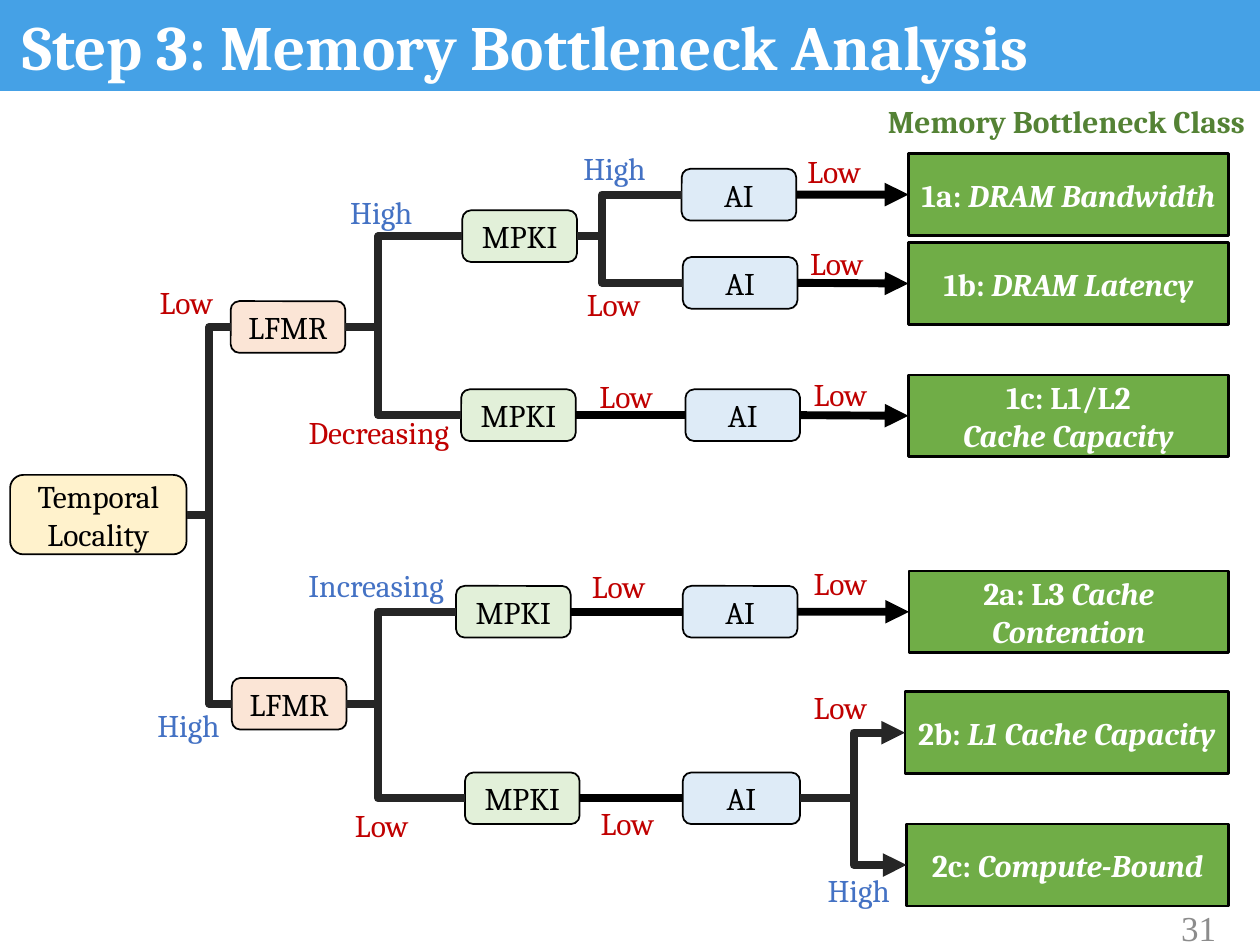
from lxml import etree
from pptx import Presentation
from pptx.dml.color import RGBColor
from pptx.enum.shapes import MSO_CONNECTOR, MSO_SHAPE
from pptx.enum.text import MSO_ANCHOR, MSO_AUTO_SIZE, PP_ALIGN
from pptx.oxml.ns import qn
from pptx.util import Pt

STRAIGHT, ELBOW = MSO_CONNECTOR.STRAIGHT, MSO_CONNECTOR.ELBOW
RECT, ROUNDED = MSO_SHAPE.RECTANGLE, MSO_SHAPE.ROUNDED_RECTANGLE
TOP, MIDDLE = MSO_ANCHOR.TOP, MSO_ANCHOR.MIDDLE
LEFT, CENTER, RIGHT = PP_ALIGN.LEFT, PP_ALIGN.CENTER, PP_ALIGN.RIGHT
NO_FIT, GROW = MSO_AUTO_SIZE.NONE, MSO_AUTO_SIZE.SHAPE_TO_FIT_TEXT
LEFT_SIDE, RIGHT_SIDE = 1, 3

BLACK, WHITE, CHARCOAL = "000000", "FFFFFF", "262626"
RED, BLUE = "C00000", "4472C4"
NODE_W, NODE_H, CLASS_H = 65.5, 29.5, 46.8


def color(hex_value):
    return RGBColor.from_string(hex_value)


class TreeSlide:
    font_name = "Cambria"
    text_size = 18
    link_width = 4.5

    def __init__(self, slide):
        self.slide = slide
        self.shapes = slide.shapes

    def style(self, paragraph, ink, size=text_size, bold=False, align=CENTER,
              name=font_name):
        paragraph.alignment = align
        font = paragraph.font
        font.name, font.size, font.bold = name, Pt(size), bold
        font.color.rgb = color(ink)

    def band(self, x, y, w, h, fill):
        band = self.box(RECT, x, y, w, h, fill)
        tree = band._element.getparent()
        tree.insert(2, band._element)  # behind the title

    def title(self, text, x, y, w, h):
        title = self.shapes.title
        title.left, title.top, title.width, title.height = map(Pt, (x, y, w, h))
        frame = title.text_frame
        frame.auto_size, frame.vertical_anchor = NO_FIT, TOP
        frame.text = text
        frame.paragraphs[0].line_spacing = 0.9
        self.style(frame.paragraphs[0], WHITE, 36, True, LEFT)

    def box(self, preset, x, y, w, h, fill, line_width=None):
        box = self.shapes.add_shape(preset, Pt(x), Pt(y), Pt(w), Pt(h))
        box.shadow.inherit = False
        box.fill.solid()
        box.fill.fore_color.rgb = color(fill)
        if line_width:
            box.line.color.rgb = color(BLACK)
            box.line.width = Pt(line_width)
        else:
            box.line.fill.background()
        box.text_frame.word_wrap = True
        box.text_frame.vertical_anchor = MIDDLE
        return box

    def node(self, text, fill, x, y, w=NODE_W, h=NODE_H):
        node = self.box(ROUNDED, x, y, w, h, fill, 1)
        node.text_frame.text = text
        self.style(node.text_frame.paragraphs[0], BLACK)
        return node

    def bottleneck(self, lines, x, y, w):
        """Each line is a pair: upright text, then italic text."""
        box = self.box(RECT, x, y, w, CLASS_H, "70AD47", 1.5)
        frame = box.text_frame
        frame.margin_left = frame.margin_right = Pt(5)
        for index, line in enumerate(lines):
            paragraph = frame.add_paragraph() if index else frame.paragraphs[0]
            self.style(paragraph, WHITE, bold=True)
            for text, italic in zip(line, (False, True)):
                if text:
                    run = paragraph.add_run()
                    run.text, run.font.italic = text, italic
        return box

    def text(self, text, x, y, w, ink, h=29.1, wrap=False, anchor=TOP, **style):
        box = self.shapes.add_textbox(Pt(x), Pt(y), Pt(w), Pt(h))
        frame = box.text_frame
        frame.word_wrap, frame.auto_size = wrap, GROW
        frame.vertical_anchor = anchor
        frame.text = text
        self.style(frame.paragraphs[0], ink, **style)

    def finish_link(self, link, ink, arrow):
        link.line.color.rgb = color(ink)
        link.line.width = Pt(self.link_width)
        properties = link._element.spPr
        if arrow:
            etree.SubElement(properties.find(qn("a:ln")), qn("a:tailEnd"), type="triangle")
        etree.SubElement(properties, qn("a:effectLst"))

    def link(self, source, target, arrow=False):
        link = self.shapes.add_connector(STRAIGHT, 0, 0, 0, 0)
        link.begin_connect(source, RIGHT_SIDE)
        link.end_connect(target, LEFT_SIDE)
        self.finish_link(link, BLACK, arrow)

    def branch(self, source, target, trunk, arrow=False):
        """Elbow whose vertical part stands at x = trunk."""
        start, end = source.left + source.width, target.left
        link = self.shapes.add_connector(
            ELBOW, start, source.top + source.height // 2,
            end, target.top + target.height // 2)
        bend = round((Pt(trunk) - start) / (end - start) * 100000)
        guides = link._element.spPr.find(qn("a:prstGeom")).find(qn("a:avLst"))
        etree.SubElement(guides, qn("a:gd"), name="adj1", fmla=f"val {bend}")
        self.finish_link(link, CHARCOAL, arrow)


def main():
    deck = Presentation()
    deck.slide_width, deck.slide_height = Pt(720), Pt(540)
    page = TreeSlide(deck.slides.add_slide(deck.slide_layouts[5]))

    # Header
    page.band(0, -2, 720, 54, "45A1E6")
    page.title("Step 3: Memory Bottleneck Analysis", 5.8, 5.8, 708, 58.3)

    # Decision nodes
    root = page.node("Temporal Locality", "FFF2CC", 5.8, 271.4, 100.8, 45.4)
    lfmr_low, lfmr_high = [page.node("LFMR", "FBE5D6", x, y)
                           for x, y in ((131.8, 172.1), (132.5, 387.4))]
    mpki_1ab, mpki_1c, mpki_2a, mpki_2bc = [
        page.node("MPKI", "E2F0D9", x, y)
        for x, y in ((264.2, 120.2), (263.5, 222.5), (260.6, 334.8), (265.7, 441.4))]
    ai_1a, ai_1b, ai_1c, ai_2a, ai_2bc = [
        page.node("AI", "DEEBF7", x, y, w)
        for x, y, w in ((389.5, 96.5, NODE_W), (390.2, 146.9, NODE_W),
                        (391.7, 222.5, NODE_W), (390.2, 334.8, NODE_W),
                        (390.2, 441.4, 67))]

    # Bottleneck classes, all ending at the same right edge
    class_right = 702
    class_1a, class_1b, class_1c, class_2a, class_2b, class_2c = [
        page.bottleneck(lines, x, y, class_right - x)
        for x, y, lines in (
            (519.1, 87.8, [("1a: ", "DRAM Bandwidth")]),
            (519.1, 138.6, [("1b: ", "DRAM Latency")]),
            (519.1, 214.2, [("1c: L1/L2", ""), ("", "Cache Capacity")]),
            (519.4, 326.2, [("2a: L3 ", "Cache Contention")]),
            (517.1, 395.3, [("2b: ", "L1 Cache Capacity")]),
            (518, 470.9, [("2c: ", "Compute-Bound")]))]

    # Forks
    for source, targets, trunk in (
            (root, (lfmr_low, lfmr_high), 119.5),
            (lfmr_low, (mpki_1ab, mpki_1c), 216.2),
            (lfmr_high, (mpki_2a, mpki_2bc), 216),
            (mpki_1ab, (ai_1a, ai_1b), 344)):
        for target in targets:
            page.branch(source, target, trunk)
    for target in (class_2b, class_2c):
        page.branch(ai_2bc, target, 487.8, arrow=True)

    # Straight links
    for mpki, ai in ((mpki_1c, ai_1c), (mpki_2a, ai_2a), (mpki_2bc, ai_2bc)):
        page.link(mpki, ai)
    for ai, bottleneck in ((ai_1a, class_1a), (ai_1b, class_1b),
                           (ai_1c, class_1c), (ai_2a, class_2a)):
        page.link(ai, bottleneck, arrow=True)

    # Branch conditions
    for condition, width, ink, places in (
            ("Low", 48.2, RED, (
                (84.2, 158.4), (195.8, 457.2), (328.3, 159.1), (335.5, 211.7),
                (331.2, 320.4), (336.2, 455.8), (454.3, 83.5), (455.8, 136.1),
                (457.9, 211), (457.9, 319), (457.9, 389.5))),
            ("High", 51.1, BLUE, (
                (82.8, 399.6), (193, 106.6), (326.2, 81.4), (465.8, 493.9))),
            ("Decreasing", 104.4, RED, ((169.2, 232.6),)),
            ("Increasing", 95.8, BLUE, ((169.2, 319.7),))):
        for x, y in places:
            page.text(condition, x, y, width, ink, align=LEFT)

    # Column heading and page number
    page.text("Memory Bottleneck Class", 476.6, 54.7, 265.7, "548235",
              wrap=True, bold=True)
    page.text("31", 624.2, 515.5, 77.8, "8C8C8C", wrap=True, anchor=MIDDLE,
              size=20, align=RIGHT, name="Times New Roman")

    deck.save("out.pptx")


if __name__ == "__main__":
    main()
